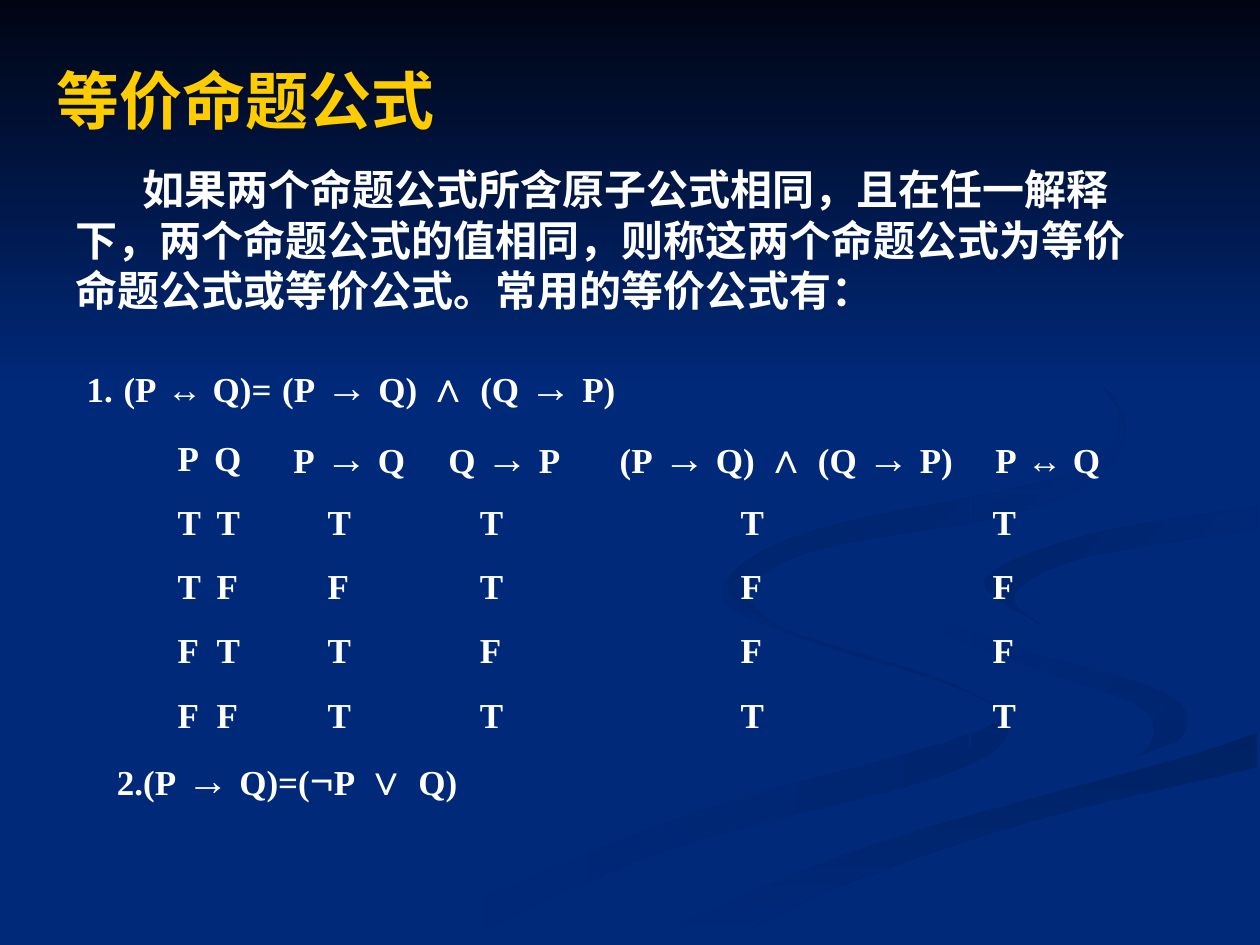
import itertools

import lxml.etree
import pptx
import pptx.dml.color
import pptx.enum.text
import pptx.oxml.ns
import pptx.util

Inches, Pt = pptx.util.Inches, pptx.util.Pt
rgb = pptx.dml.color.RGBColor.from_string
qn = pptx.oxml.ns.qn

COLORS = {
    "navy": "00297A", "night": "000514", "title": "FFCC00", "text": "FFFFFF",
    "shade1": "00256F", "shade2": "002264", "shade3": "00246B", "shade4": "002367",
}
SERIF, SANS, CHINESE = "Times New Roman", "Arial", "Noto Sans CJK SC"
SYMBOL_STYLES = {
    "→": (24, SANS), "∧": (24, SANS), "∨": (24, SANS),
    "↔": (20, SANS), "¬": (24, SERIF), " ": (24, SERIF),
}


def write_text(paragraph, text, color="text", size=None, font=None):
    """Write bold text; without a size, style each logic symbol by its own rule."""
    for style, chars in itertools.groupby(
            text, lambda char: (size, font) if size else SYMBOL_STYLES.get(char, (20, SERIF))):
        span = paragraph.add_run()
        span.text = "".join(chars)
        formats = {"size": Pt(style[0]), "name": style[1], "bold": True}
        for name, value in formats.items():
            setattr(span.font, name, value)
        span.font.color.rgb = rgb(COLORS[color])
        if size:
            east_asian = lxml.etree.SubElement(span.font._element, qn("a:ea"))
            east_asian.set("typeface", CHINESE)


def smooth_edge(knots, steps=5):
    """Return points on a Catmull-Rom curve through the knots."""
    padded = [knots[0], *knots, knots[-1]]
    points = [knots[0]]
    for a, b, c, d in zip(padded, padded[1:], padded[2:], padded[3:]):
        for t in [step / steps for step in range(1, steps + 1)]:
            points.append(tuple(
                q + t / 2 * (r - p + t * (2 * p - 5 * q + 4 * r - s + t * (3 * (q - r) + s - p)))
                for p, q, r, s in zip(a, b, c, d)))
    return points


deck = pptx.Presentation()
deck.slide_width, deck.slide_height = Inches(10), Inches(7.5)
page = deck.slides.add_slide(deck.slide_layouts[6])
page.background.fill.solid()
page.background.fill.fore_color.rgb = rgb(COLORS["navy"])

# Background ribbons: start colour, end colour, clockwise angle, one edge, edge back
ribbons = [
    ("navy", "shade1", 0,
     [(5.75, 4.59), (5.81, 4.83), (6.54, 5.13), (7.62, 5.47), (7.8, 5.79), (5.39, 6.49), (3, 7.49)],
     [(3.61, 7.49), (5.32, 6.74), (7.4, 6.18), (8, 5.81), (7.57, 5.43), (6.14, 4.96), (5.75, 4.59)]),
    ("navy", "shade1", 45,
     [(7.24, 4.64), (7.46, 5), (8.38, 5.36), (9.07, 5.62), (9.14, 5.89), (8.94, 6.05)],
     [(8.94, 6.05), (9.37, 5.86), (9.3, 5.53), (8.3, 5.19), (7.45, 4.9), (7.24, 4.64)]),
    ("shade2", "navy", 90,
     [(5.03, 7.49), (6.3, 6.93), (7.64, 6.47), (9.36, 6.02), (9.98, 5.81)],
     [(9.98, 6.09), (8.21, 6.51), (6.7, 7.02), (5.71, 7.49)]),
    ("navy", "navy", 0,
     [(9.99, 3.87), (8.08, 4.17), (7.25, 4.64), (7.93, 5.09), (9.2, 5.47), (9.31, 5.9),
      (7.04, 6.55), (4.77, 7.49)],
     [(5.03, 7.49), (6.96, 6.69), (9.99, 5.81), (9.99, 5.38), (8.32, 4.98), (7.82, 4.6),
      (8.65, 4.24), (9.99, 4.02)]),
    ("shade3", "navy", 45,
     [(9.98, 4.02), (8.65, 4.24), (7.81, 4.6), (8.26, 4.96)],
     [(8.26, 4.96), (8.05, 4.72), (8.59, 4.43), (9.98, 4.2)]),
    ("shade4", "navy", 45,
     [(7.62, 2.33), (8.46, 2.79), (8.89, 3.35), (8.42, 3.78), (6.49, 4.2), (5.77, 4.62), (6.22, 5)],
     [(6.22, 5), (5.93, 4.7), (6.49, 4.36), (8.25, 4.02), (8.94, 3.44), (8.43, 2.75), (7.62, 2.33)]),
    ("night", "navy", 90, [(0, 0), (10, 0)], [(10, 3.08), (0, 3.08)]),
]
for start, end, angle, edge, edge_back in ribbons:
    points = [(Inches(x), Inches(y)) for x, y in smooth_edge(edge) + smooth_edge(edge_back)]
    outline = page.shapes.build_freeform(*points[0])
    outline.add_line_segments(points[1:], close=True)
    ribbon = outline.convert_to_shape()
    ribbon.shadow.inherit = False
    ribbon.line.fill.background()
    if start == end:
        ribbon.fill.solid()
        ribbon.fill.fore_color.rgb = rgb(COLORS[start])
        continue
    ribbon.fill.gradient()
    ribbon.fill.gradient_angle = -angle % 360
    for stop, color in zip(ribbon.fill.gradient_stops, (start, end)):
        stop.color.rgb = rgb(COLORS[color])

# Text boxes: left, top, width, height, text, colour, size, font, first-line indent
definition = ("如果两个命题公式所含原子公式相同，且在任一解释下，两个命题公式的值相同，"
              "则称这两个命题公式为等价命题公式或等价公式。常用的等价公式有：")
texts = [
    (0.35, 0.44, 4.33, 0.7, "等价命题公式", "title", 36, CHINESE, 0),
    (0.5, 1.25, 8.67, 1.91, definition, "text", 24, SERIF, 0.53),
    (0.59, 2.81, 6.5, 0.5, "1. (P ↔ Q)= (P → Q) ∧ (Q → P)", "text", None, None, 0),
    (0.83, 5.93, 4.33, 0.5, "2.(P → Q)=(¬P ∨ Q)", "text", None, None, 0),
]
for left, top, width, height, text, color, size, font, indent in texts:
    box = page.shapes.add_textbox(Inches(left), Inches(top), Inches(width), Inches(height))
    box.text_frame.word_wrap = True
    paragraph = box.text_frame.paragraphs[0]
    if size:
        paragraph.line_spacing = Pt(size * 1.2)
    if indent:
        paragraph._p.get_or_add_pPr().set("indent", str(Inches(indent)))
    write_text(paragraph, text, color, size, font)

# Truth table columns: heading, values, width, heading inset, value inset
columns = [
    ("P", "TTFF", 0.34, 0.1, 0.1),
    ("Q", "TFTF", 0.49, 0.05, 0.07),
    ("P → Q", "TFTT", 1.19, 0.19, 0.46),
    ("Q → P", "TTFT", 1.27, 0.23, 0.48),
    ("(P → Q) ∧ (Q → P)", "TFFT", 3.1, 0.32, 1.28),
    ("P ↔ Q", "TFFT", 1.36, 0.2, 0.18),
]
frame = page.shapes.add_table(5, len(columns), Inches(1.31), Inches(3.39), Inches(7.75), Inches(2.55))
table = frame.table
table.first_row = table.horz_banding = False
for row in table.rows:
    row.height = Inches(0.51)
for index, (heading, values, width, heading_inset, value_inset) in enumerate(columns):
    table.columns[index].width = Inches(width)
    for row, text in enumerate([heading, *values]):
        cell = table.cell(row, index)
        insets = {"margin_left": heading_inset if row == 0 else value_inset,
                  "margin_right": 0, "margin_top": 0, "margin_bottom": 0}
        for name, value in insets.items():
            setattr(cell, name, Inches(value))
        cell.vertical_anchor = pptx.enum.text.MSO_ANCHOR.MIDDLE
        write_text(cell.text_frame.paragraphs[0], text)
        drawn = {"a:lnL": index > 1, "a:lnR": 0 < index < 5, "a:lnT": row == 1, "a:lnB": row == 0}
        for side, visible in drawn.items():
            border = lxml.etree.SubElement(cell._tc.get_or_add_tcPr(), qn(side), w=str(Pt(0.75)))
            fill = lxml.etree.SubElement(border, qn("a:solidFill" if visible else "a:noFill"))
            if visible:
                lxml.etree.SubElement(fill, qn("a:srgbClr"), val=COLORS["navy"])
        cell.fill.background()

deck.save("out.pptx")
